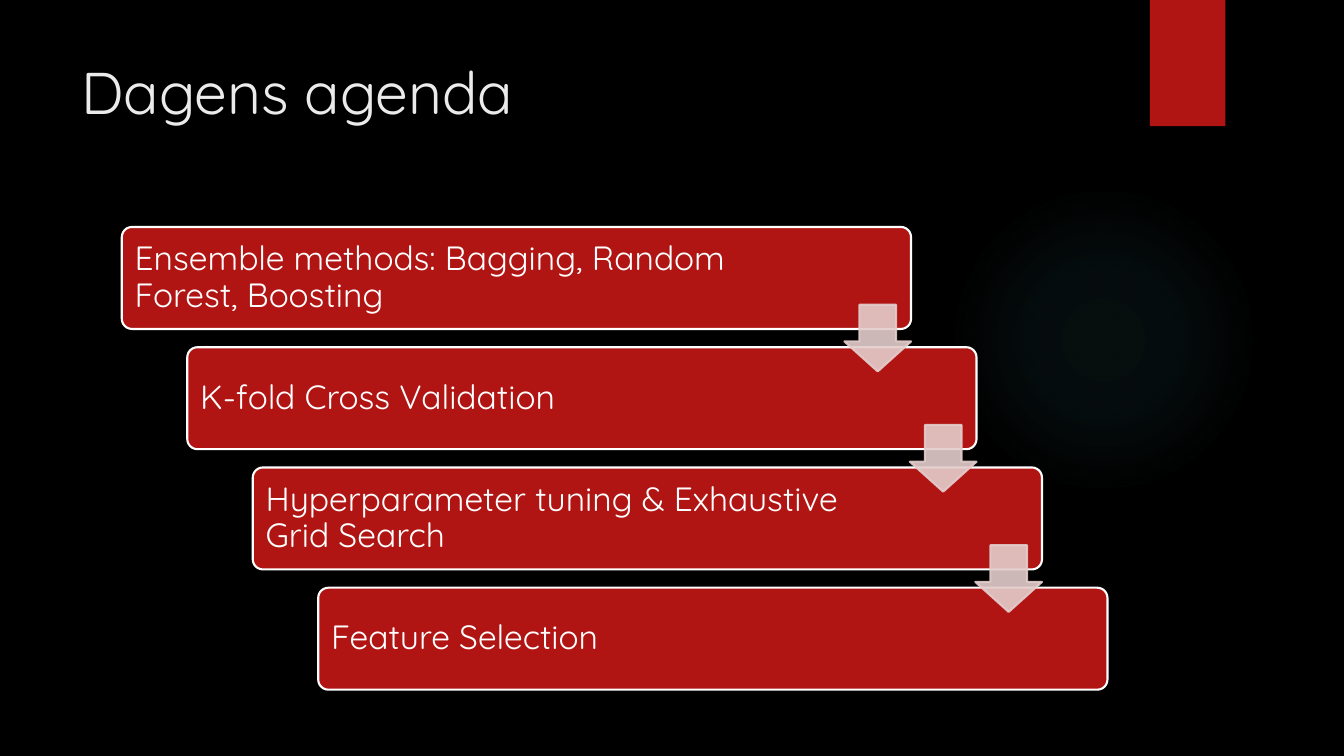
from lxml import etree
from pptx import Presentation
from pptx.dml.color import RGBColor
from pptx.enum.shapes import MSO_SHAPE as SHAPE
from pptx.enum.text import MSO_ANCHOR as ANCHOR, MSO_AUTO_SIZE as AUTO, PP_ALIGN as ALIGN
from pptx.oxml import parse_xml
from pptx.oxml.ns import qn
from pptx.util import Cm, Pt

TITLE = "Dagens agenda"
AGENDA = [
    "Ensemble methods: Bagging, Random Forest, Boosting",
    "K-fold Cross Validation",
    "Hyperparameter tuning & Exhaustive Grid Search",
    "Feature Selection",
]
FONT = "Quicksand"
BLACK = RGBColor(0x00, 0x00, 0x00)
WHITE = RGBColor(0xFF, 0xFF, 0xFF)
TITLE_GREY = RGBColor(0xEB, 0xEB, 0xEB)
RED = RGBColor(0xB0, 0x15, 0x13)
PINK = RGBColor(0xE4, 0xCC, 0xCC)
TEAL = RGBColor(0x50, 0xB9, 0xC1)
GLOW_STOPS = [(0, 7), (36, 6), (69, 0)]

LEFT, TOP = 3.07, 5.72
STEP_X, STEP_Y = 1.65, 3.03
CARD_W, CARD_H = 19.89, 2.57
ARROW, ARROW_DROP = 1.68, 1.96
A_NS = 'xmlns:a="http://schemas.openxmlformats.org/drawingml/2006/main"'


def add_box(s, kind, x, y, w, h, fill=None, line=None):
    sp = s.shapes.add_shape(kind, Cm(x), Cm(y), Cm(w), Cm(h))
    sp.shadow.inherit = False
    if fill is not None:
        sp.fill.solid()
        sp.fill.fore_color.rgb = fill
    if line is None:
        sp.line.fill.background()
    else:
        sp.line.color.rgb = line
        sp.line.width = Pt(1.5)
    return sp


def write(sp, text, size, color, anchor=ANCHOR.MIDDLE, spacing=1.0):
    tf = sp.text_frame
    tf.word_wrap = True
    tf.auto_size = AUTO.NONE
    tf.vertical_anchor = anchor
    p = tf.paragraphs[0]
    p.alignment = ALIGN.LEFT
    p.line_spacing = spacing
    r = p.add_run()
    r.text = text
    r.font.name = FONT
    r.font.size = Pt(size)
    r.font.color.rgb = color
    return tf


def add_glow(s):
    sp = add_box(s, SHAPE.OVAL, 23.9, 4.65, 7.82, 7.82, TEAL)
    stops = "".join(
        f'<a:gs pos="{pos * 1000}"><a:srgbClr val="{TEAL}">'
        f'<a:alpha val="{alpha * 1000}"/></a:srgbClr></a:gs>'
        for pos, alpha in GLOW_STOPS
    )
    gradient = parse_xml(
        f'<a:gradFill {A_NS} rotWithShape="1"><a:gsLst>{stops}</a:gsLst>'
        '<a:path path="circle"><a:fillToRect l="50000" t="50000" r="50000" b="50000"/>'
        '</a:path></a:gradFill>'
    )
    spPr = sp.element.spPr
    spPr.replace(spPr.find(qn("a:solidFill")), gradient)


def add_ribbon(s):
    sp = add_box(s, SHAPE.RECTANGLE, 28.98, 0, 1.9, 3.18, RED)
    effects = sp.element.spPr.find(qn("a:effectLst"))
    effects.append(parse_xml(
        f'<a:outerShdw {A_NS} blurRad="{Pt(3)}" dist="{Pt(2)}" dir="5400000">'
        f'<a:srgbClr val="{BLACK}"><a:alpha val="45000"/></a:srgbClr></a:outerShdw>'
    ))


def add_card(s, i, text):
    sp = add_box(s, SHAPE.ROUNDED_RECTANGLE, LEFT + i * STEP_X, TOP + i * STEP_Y,
                 CARD_W, CARD_H, RED, WHITE)
    sp.adjustments[0] = 0.1
    tf = write(sp, text, 24, WHITE, spacing=0.9)
    tf.margin_left = tf.margin_top = tf.margin_bottom = Cm(0.25)
    tf.margin_right = Cm(3.6)


def add_arrow(s, i):
    x = LEFT + i * STEP_X + CARD_W - ARROW
    y = TOP + i * STEP_Y + ARROW_DROP
    sp = add_box(s, SHAPE.DOWN_ARROW, x, y, ARROW, ARROW, PINK, PINK)
    sp.adjustments[0], sp.adjustments[1] = 0.55, 0.45
    for color in sp.element.spPr.iter(qn("a:srgbClr")):
        etree.SubElement(color, qn("a:alpha")).set("val", "90000")


def main():
    prs = Presentation()
    prs.slide_width, prs.slide_height = Cm(33.87), Cm(19.05)
    s = prs.slides.add_slide(prs.slide_layouts[5])
    s.background.fill.solid()
    s.background.fill.fore_color.rgb = BLACK

    add_glow(s)
    add_ribbon(s)
    title = s.shapes.title
    title.left, title.top, title.width, title.height = Cm(1.8), Cm(1.27), Cm(26.14), Cm(3.89)
    write(title, TITLE, 42, TITLE_GREY, ANCHOR.TOP)

    for i, text in enumerate(AGENDA):
        add_card(s, i, text)
    for i in range(len(AGENDA) - 1):
        add_arrow(s, i)
    prs.save("out.pptx")


if __name__ == "__main__":
    main()
